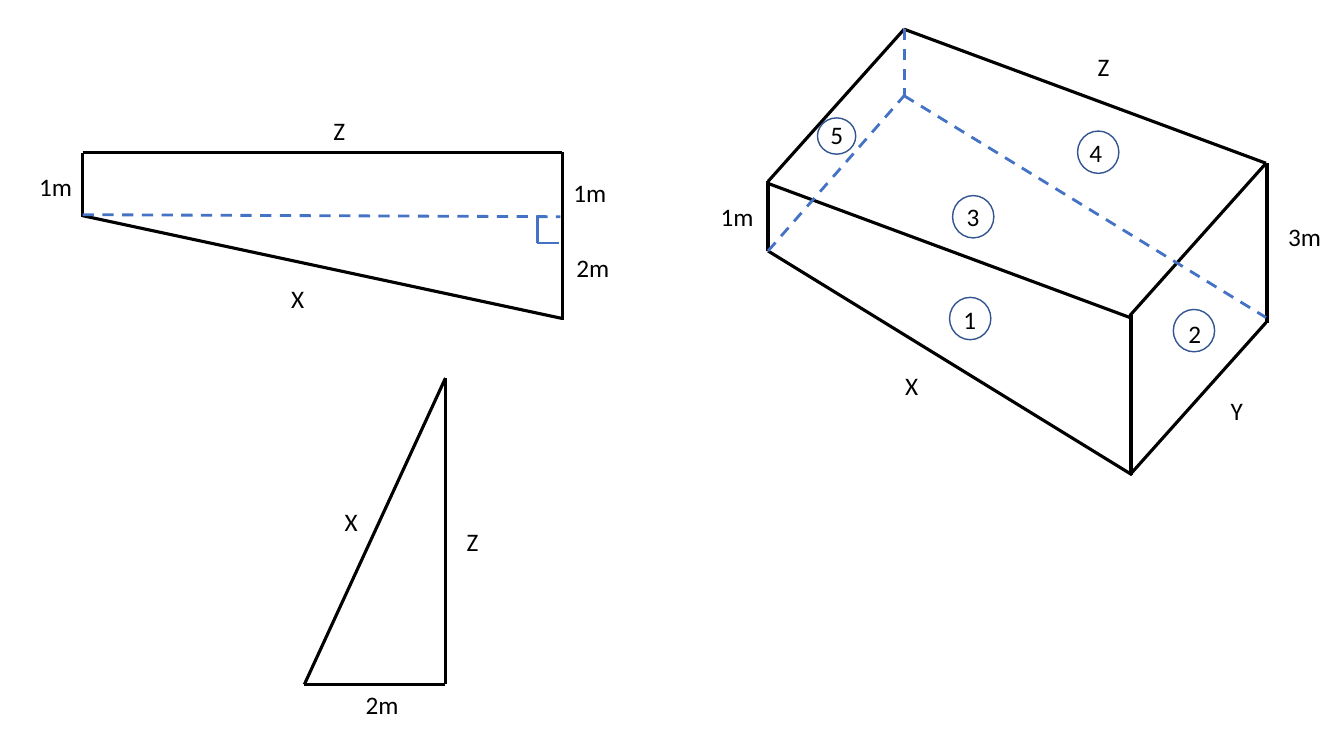
import pptx
import pptx.dml.color
import pptx.enum.dml
import pptx.enum.shapes
import pptx.enum.text
import pptx.oxml.ns
import pptx.util
from lxml import etree

PX = 9144  # EMU, 100 px to the inch
COLORS = {"ink": "000000", "guide": "4472C4", "ring": "325491", "paper": "FFFFFF"}
LINE_STYLES = {
    "edge": {"color": "ink", "format": {"width": pptx.util.Pt(2.25)}},
    "dashed": {"color": "guide", "format": {
        "width": pptx.util.Pt(2), "dash_style": pptx.enum.dml.MSO_LINE.DASH}},
    "corner": {"color": "guide", "format": {"width": pptx.util.Pt(2)}},
}
TEXT_FRAME_FORMAT = {
    "word_wrap": True,
    "auto_size": pptx.enum.text.MSO_AUTO_SIZE.SHAPE_TO_FIT_TEXT,
}
FONT_FORMAT = {"name": "Calibri", "size": pptx.util.Pt(18)}
LABEL_SIZE = (65, 40)

# Each figure: lines by style (x1, y1, x2, y2), circles (x, y, width, height),
# and labels (text, x, y).
SOLID = {
    "edge": [
        (762, 180, 897, 29), (897, 29, 1256, 162), (1121, 313, 1256, 162),
        (762, 180, 762, 249), (1257, 162, 1257, 320), (1121, 471, 1256, 320),
        (762, 249, 1123, 471), (762, 182, 1121, 315), (1122, 313, 1122, 471),
    ],
    "dashed": [
        (897, 29, 897, 95), (762, 249, 897, 95), (897, 95, 1256, 315),
    ],
    "circles": [
        (1069, 130, 41, 42), (811, 117, 38, 36), (945, 194, 41, 42),
        (1164, 307, 41, 42), (942, 295, 41, 42),
    ],
    "labels": [
        ("3m", 1268, 215), ("1m", 705, 195), ("Y", 1211, 387), ("X", 888, 362),
        ("1", 946, 297), ("2", 1169, 311), ("4", 1071, 131), ("5", 814, 113),
        ("3", 949, 195), ("Z", 1079, 46),
    ],
}
SIDE_FACE = {
    "edge": [
        (82, 151, 558, 151), (558, 151, 558, 317),
        (82, 152, 82, 215), (82, 214, 558, 316),
    ],
    "dashed": [(82, 213, 556, 215)],
    "corner": [(533, 215, 533, 241), (533, 241, 555, 241)],
    "labels": [
        ("1m", 559, 171), ("2m", 562, 245), ("1m", 29, 165),
        ("X", 279, 276), ("Z", 321, 109),
    ],
}
RIGHT_TRIANGLE = {
    "edge": [
        (442, 679, 442, 375), (442, 679, 302, 679), (302, 679, 442, 375),
    ],
    "labels": [("2m", 353, 679), ("Z", 453, 517), ("X", 332, 497)],
}


def emu(*lengths):
    return [pptx.util.Emu(length * PX) for length in lengths]


def rgb(name):
    return pptx.dml.color.RGBColor.from_string(COLORS[name])


presentation = pptx.Presentation()
presentation.slide_height = pptx.util.Inches(7.5)
presentation.slide_width = presentation.slide_height * 16 // 9
slide = presentation.slides.add_slide(presentation.slide_layouts[6])

for figure in (SOLID, SIDE_FACE, RIGHT_TRIANGLE):
    group = slide.shapes.add_group_shape()

    for style_name, style in LINE_STYLES.items():
        for ends in figure.get(style_name, []):
            connector = group.shapes.add_connector(
                pptx.enum.shapes.MSO_CONNECTOR.STRAIGHT, *emu(*ends))
            connector.line.color.rgb = rgb(style["color"])
            for attribute, value in style["format"].items():
                setattr(connector.line, attribute, value)
            etree.SubElement(connector._element.spPr, pptx.oxml.ns.qn("a:effectLst"))

    for box in figure.get("circles", []):
        circle = group.shapes.add_shape(pptx.enum.shapes.MSO_SHAPE.OVAL, *emu(*box))
        circle.shadow.inherit = False
        circle.fill.solid()
        circle.fill.fore_color.rgb = rgb("paper")
        circle.line.color.rgb = rgb("ring")
        circle.line.width = pptx.util.Pt(1)

    for text, left, top in figure["labels"]:
        label = group.shapes.add_textbox(*emu(left, top, *LABEL_SIZE))
        for attribute, value in TEXT_FRAME_FORMAT.items():
            setattr(label.text_frame, attribute, value)
        run = label.text_frame.paragraphs[0].add_run()
        run.text = text
        run.font.color.rgb = rgb("ink")
        for attribute, value in FONT_FORMAT.items():
            setattr(run.font, attribute, value)

presentation.save("out.pptx")
